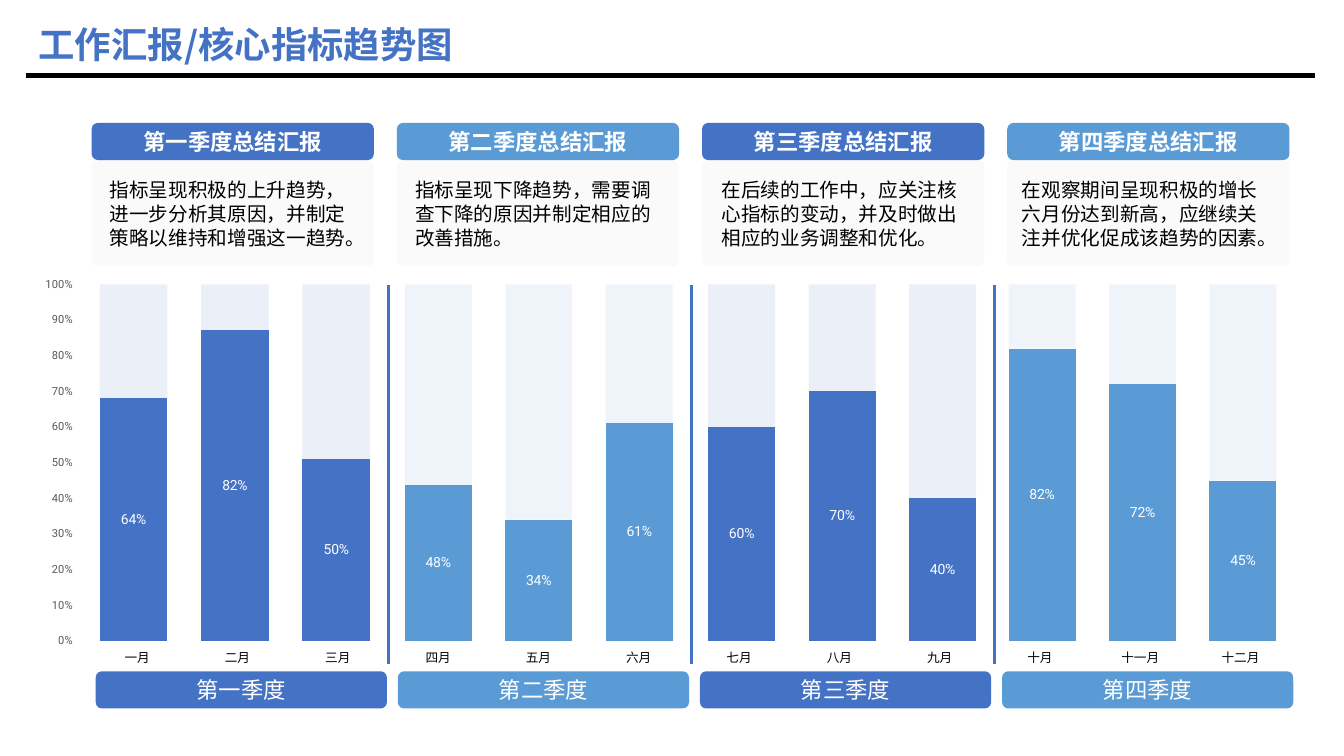
from lxml import etree
from pptx import Presentation
from pptx.chart.data import CategoryChartData
from pptx.dml.color import RGBColor
from pptx.enum.chart import XL_CHART_TYPE as CT, XL_LABEL_POSITION as LP, XL_TICK_MARK as TM
from pptx.enum.shapes import MSO_CONNECTOR, MSO_SHAPE
from pptx.enum.text import MSO_ANCHOR as VA, PP_ALIGN as AL
from pptx.oxml import parse_xml
from pptx.oxml.ns import nsdecls, qn
from pptx.util import Pt

BLUE = RGBColor(0x44, 0x72, 0xC4)
SKY = RGBColor(0x5B, 0x9B, 0xD5)
CARD = RGBColor(0xE7, 0xE6, 0xE6)
GRAY = RGBColor(0x59, 0x59, 0x59)
BLACK = RGBColor(0, 0, 0)
WHITE = RGBColor(255, 255, 255)
CJK, LATIN = "Noto Sans CJK SC", "Roboto"

TITLE = "工作汇报/核心指标趋势图"
QUARTERS = [
    dict(name="第一季度", color=BLUE, months=["一月", "二月", "三月"],
         note="指标呈现积极的上升趋势，进一步分析其原因，并制定策略以维持和增强这一趋势。",
         note_x=71.3, chart_x=32.4, done=(0.64, 0.82, 0.5), rest=(0.3, 0.12, 0.48)),
    dict(name="第二季度", color=SKY, months=["四月", "五月", "六月"],
         note="指标呈现下降趋势，需要调查下降的原因并制定相应的改善措施。",
         note_x=289.4, chart_x=277.2, done=(0.48, 0.34, 0.61), rest=(0.62, 0.66, 0.39)),
    dict(name="第三季度", color=BLUE, months=["七月", "八月", "九月"],
         note="在后续的工作中，应关注核心指标的变动，并及时做出相应的业务调整和优化。",
         note_x=508.3, chart_x=493.9, done=(0.6, 0.7, 0.4), rest=(0.4, 0.3, 0.6)),
    dict(name="第四季度", color=SKY, months=["十月", "十一月", "十二月"],
         note="在观察期间呈现积极的增长六月份达到新高，应继续关注并优化促成该趋势的因素。",
         note_x=722.9, chart_x=708.5, done=(0.82, 0.72, 0.45), rest=(0.18, 0.28, 0.55)),
]
CARD_X, CARD_STEP, CARD_W = 65.5, 218, 201.6
BAR_X, BAR_STEP, BAR_W = 68.4, 215.8, 208
LINE_X, LINE_STEP = 277.2, 216.7
MONTH_X, MONTH_STEP = 98, 71.65


def style(obj, **values):
    for key, value in values.items():
        setattr(obj, key, value)


def style_font(font, color, **values):
    style(font, **values)
    font.color.rgb = color


def write(shape, text, size, color, bold=False, align=AL.CENTER, anchor=VA.MIDDLE, spacing=None):
    tf = shape.text_frame
    style(tf, word_wrap=True, vertical_anchor=anchor, margin_left=Pt(7.2),
          margin_right=Pt(7.2), margin_top=Pt(3.6), margin_bottom=Pt(3.6))
    p = tf.paragraphs[0]
    style(p, alignment=align, line_spacing=spacing)
    r = p.add_run()
    r.text = text
    style_font(r.font, color, size=Pt(size), bold=bold, name=CJK)
    etree.SubElement(r.font._element, qn("a:ea")).set("typeface", CJK)


def add_text(s, box, *args, **kwargs):
    write(s.shapes.add_textbox(*map(Pt, box)), *args, **kwargs)


def set_alpha(fill_parent, percent):
    color = fill_parent.find(".//" + qn("a:srgbClr"))
    etree.SubElement(color, qn("a:alpha")).set("val", str(percent * 1000))


def add_round(s, box, color):
    shape = s.shapes.add_shape(MSO_SHAPE.ROUNDED_RECTANGLE, *map(Pt, box))
    shape.shadow.inherit = False
    shape.fill.solid()
    shape.fill.fore_color.rgb = color
    shape.line.fill.background()
    return shape


def add_line(s, points, color, width):
    line = s.shapes.add_connector(MSO_CONNECTOR.STRAIGHT, *map(Pt, points))
    line.line.color.rgb = color
    line.line.width = Pt(width)
    etree.SubElement(line._element.spPr, qn("a:effectLst"))


def set_plot_area(chart, x, w):
    layout = "".join(f'<c:{tag} val="{val}"/>' for tag, val in [
        ("layoutTarget", "inner"), ("xMode", "edge"), ("yMode", "edge"),
        ("x", x), ("y", 0.047), ("w", w), ("h", 0.907)])
    area = chart._chartSpace.chart.plotArea
    for old in area.findall(qn("c:layout")):
        area.remove(old)
    area.insert(0, parse_xml(
        f'<c:layout {nsdecls("c")}><c:manualLayout>{layout}</c:manualLayout></c:layout>'))


def add_quarter_chart(s, quarter, show_axis):
    data = CategoryChartData(number_format="0%")
    data.categories = ["1", "2", "3"]
    data.add_series("Series 1", quarter["done"])
    data.add_series("Series 2", quarter["rest"])
    box = quarter["chart_x"], 190, 244 if show_axis else 215.3, 280.8
    chart = s.shapes.add_chart(CT.COLUMN_STACKED_100, *map(Pt, box), data).chart
    style(chart, has_legend=False, has_title=False)
    style_font(chart.font, BLACK, size=Pt(10), name=LATIN)
    chart.category_axis.visible = False
    axis = chart.value_axis
    style(axis, visible=show_axis, has_major_gridlines=False, minimum_scale=0,
          maximum_scale=1, major_unit=0.1, major_tick_mark=TM.OUTSIDE)
    style(axis.tick_labels, number_format="0%", number_format_is_linked=False)
    style_font(axis.tick_labels.font, GRAY, size=Pt(8), name=LATIN)
    axis.format.line.fill.background()
    plot = chart.plots[0]
    style(plot, gap_width=50, overlap=100, vary_by_categories=False)
    for series in plot.series:
        series.format.fill.solid()
        series.format.fill.fore_color.rgb = quarter["color"]
    done, rest = plot.series
    set_alpha(rest._element, 10)
    labels = done.data_labels
    style(labels, show_value=True, position=LP.CENTER, number_format="0%",
          number_format_is_linked=False)
    style_font(labels.font, WHITE, size=Pt(10), name=LATIN)
    set_plot_area(chart, *((0.1, 0.9) if show_axis else (0, 1)))


def main():
    prs = Presentation()
    style(prs, slide_width=Pt(960), slide_height=Pt(540))
    s = prs.slides.add_slide(prs.slide_layouts[5])
    add_line(s, (18.7, 54, 939.6, 54), BLACK, 3)
    title = s.shapes.title
    style(title, left=Pt(20.2), top=Pt(12), width=Pt(491), height=Pt(38.9))
    write(title, TITLE, 26, BLUE, bold=True, align=AL.LEFT)

    for i, quarter in enumerate(QUARTERS):
        add_quarter_chart(s, quarter, i == 0)
        bar = add_round(s, (BAR_X + i * BAR_STEP, 479.5, BAR_W, 26.6), quarter["color"])
        write(bar, quarter["name"], 16, WHITE)

        card_x = CARD_X + i * CARD_STEP
        card = add_round(s, (card_x, 114.5, CARD_W, 75.5), CARD)
        card.adjustments[0] = 0.06
        set_alpha(card._element.spPr, 20)
        add_text(s, (quarter["note_x"], 123.1, 190, 58.3), quarter["note"], 14, BLACK,
                 align=AL.LEFT, anchor=VA.TOP, spacing=Pt(17.1))
        header = add_round(s, (card_x, 87.8, CARD_W, 26.6), quarter["color"])
        write(header, quarter["name"] + "总结汇报", 16, WHITE, bold=True)

    for i in range(len(QUARTERS) - 1):
        x = LINE_X + i * LINE_STEP
        add_line(s, (x, 203.8, x, 474.5), BLUE, 2.25)

    months = [month for quarter in QUARTERS for month in quarter["months"]]
    for i, month in enumerate(months):
        w = 16.2 * len(month)
        add_text(s, (MONTH_X + i * MONTH_STEP - w / 2, 460.8, w, 18), month, 9, BLACK)

    prs.save("out.pptx")


if __name__ == "__main__":
    main()
